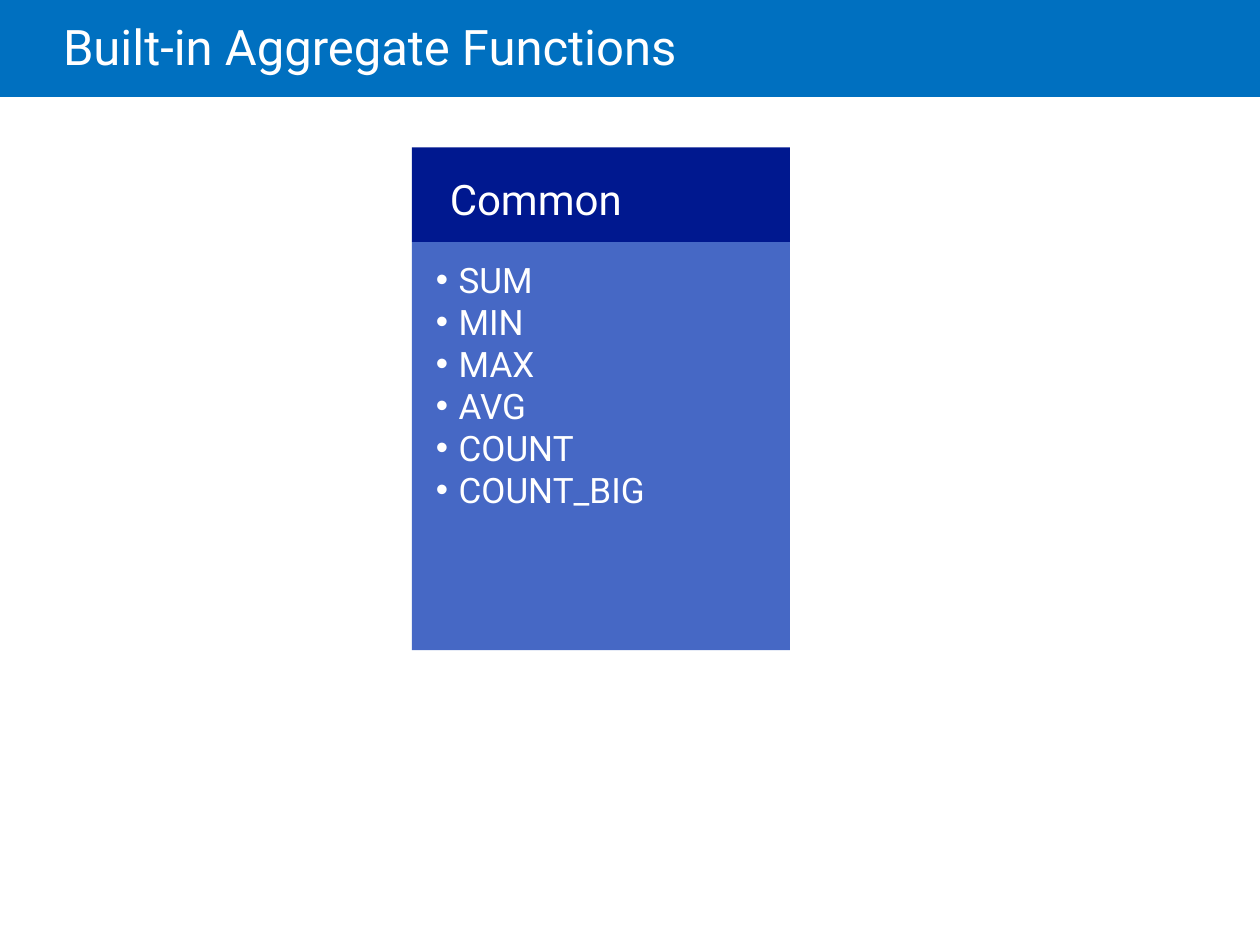
"""Build a slide that lists the common built-in aggregate functions."""
import pptx
import pptx.dml.color
import pptx.enum.shapes
import pptx.enum.text
import pptx.oxml.ns
import pptx.util

Inches = pptx.util.Inches
Pt = pptx.util.Pt
Shape = pptx.enum.shapes.MSO_SHAPE
Anchor = pptx.enum.text.MSO_ANCHOR


def color(value):
    return pptx.dml.color.RGBColor.from_string(value)


def apply(target, values):
    for name, value in values.items():
        setattr(target, name, value)


class SlideBuilder:
    font = "Roboto"
    text_color = "FFFFFF"

    def __init__(self, slide):
        self.slide = slide

    def block(self, bounds, fill, kind=Shape.RECTANGLE):
        block = self.slide.shapes.add_shape(kind, *map(Inches, bounds))
        block.shadow.inherit = False
        block.fill.solid()
        block.fill.fore_color.rgb = color(fill)
        block.line.fill.background()
        self.slide.shapes.title.element.addprevious(block.element)
        return block

    def place(self, placeholder, bounds):
        apply(placeholder, dict(zip(("left", "top", "width", "height"), map(Inches, bounds))))
        return placeholder

    def label(self, holder, lines, size, insets, anchor=Anchor.MIDDLE, spacing=1.0):
        frame = holder.text_frame
        frame.text = "\n".join(lines)
        margins = ("margin_left", "margin_top", "margin_right", "margin_bottom")
        apply(frame, {
            "word_wrap": True,
            "auto_size": pptx.enum.text.MSO_AUTO_SIZE.NONE,
            "vertical_anchor": anchor,
            **dict(zip(margins, map(Inches, insets))),
        })
        for paragraph in frame.paragraphs:
            apply(paragraph, {
                "alignment": pptx.enum.text.PP_ALIGN.LEFT,
                "line_spacing": spacing,
                "space_before": Pt(0),
            })
            for run in paragraph.runs:
                apply(run.font, {"name": self.font, "size": Pt(size)})
                run.font.color.rgb = color(self.text_color)

    def title(self, text, bounds):
        heading = self.place(self.slide.shapes.title, bounds)
        self.label(heading, [text], 28, (0, 0.05, 0.1, 0.05), spacing=0.85)

    def bullets(self, items, bounds, hang=0.18):
        body = self.place(self.slide.placeholders[1], bounds)
        self.label(body, items, 20, (0, 0, 0, 0), Anchor.TOP)
        for paragraph in body.text_frame.paragraphs:
            properties = paragraph._p.get_or_add_pPr()
            properties.set("marL", str(Inches(hang)))
            properties.set("indent", str(-Inches(hang)))
            bullet = properties.makeelement(pptx.oxml.ns.qn("a:buChar"), {"char": "•"})
            properties.append(bullet)


def main():
    deck = pptx.Presentation()
    apply(deck, {"slide_width": Inches(10), "slide_height": Inches(7.5)})
    builder = SlideBuilder(deck.slides.add_slide(deck.slide_layouts[1]))

    builder.block((0, 0, 10, 0.77), "0070C0")
    builder.title("Built-in Aggregate Functions", (0.5, 0, 8.5, 0.81))

    column, width, top, header_height = 3.27, 3, 1.17, 0.75
    panel = builder.block((column, top + header_height, width, 3.24), "4668C5",
                          Shape.ROUNDED_RECTANGLE)
    panel.adjustments[0] = 0
    header = builder.block((column, top, width, header_height), "00188F")
    builder.label(header, ["Common"], 24, (0.3, 0.12, 0.1, 0.05))
    functions = ["SUM", "MIN", "MAX", "AVG", "COUNT", "COUNT_BIG"]
    builder.bullets(functions, (3.46, 2.05, 2.64, 2.98))

    deck.save("out.pptx")


if __name__ == "__main__":
    main()
